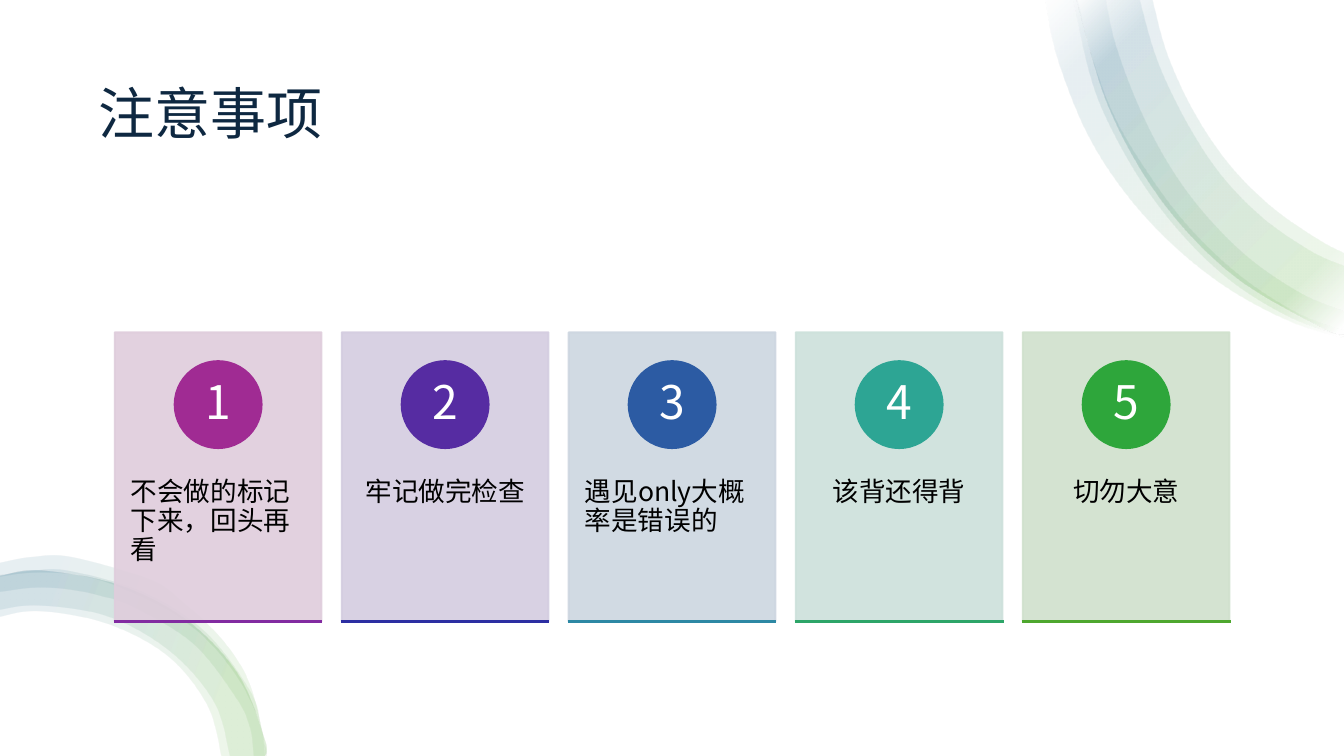
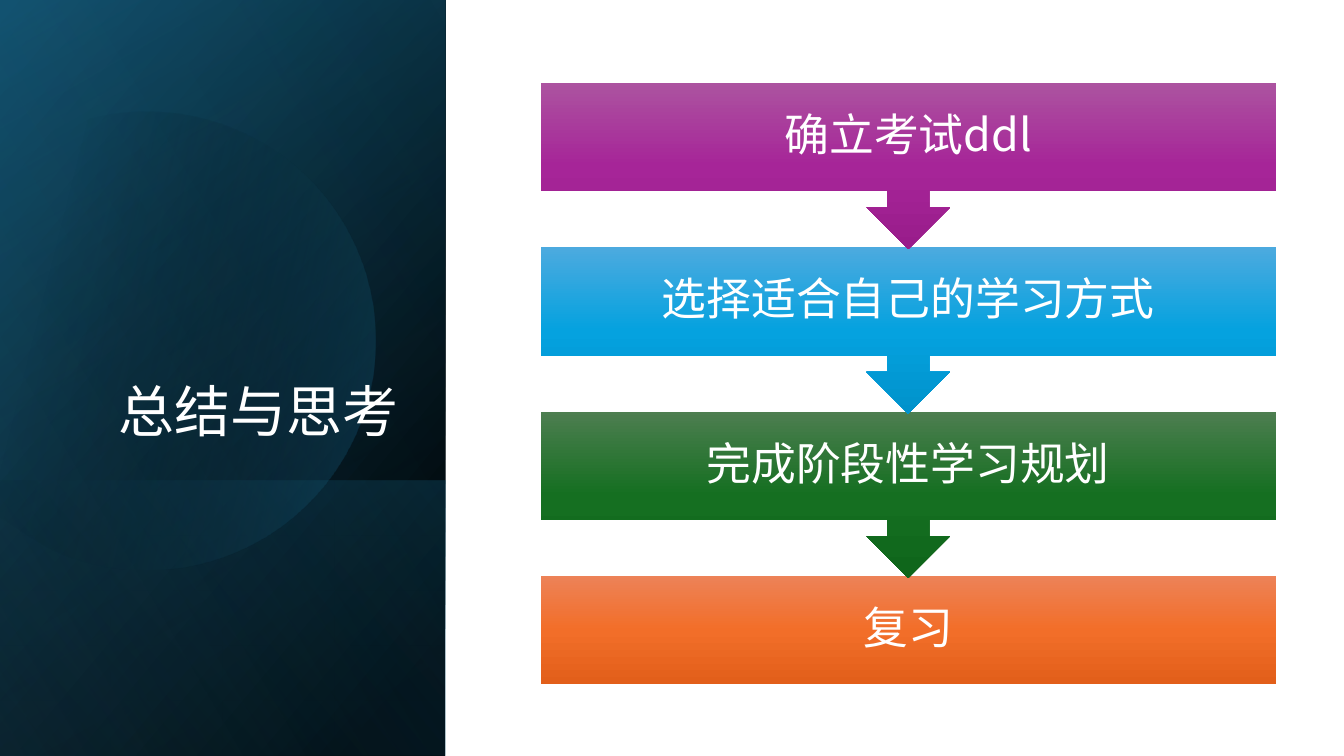
from dataclasses import dataclass
from math import acos, cos, sin

from lxml import etree
from pptx import Presentation
from pptx.dml.color import RGBColor
from pptx.enum.shapes import MSO_CONNECTOR, MSO_SHAPE
from pptx.enum.text import MSO_ANCHOR, MSO_AUTO_SIZE, PP_ALIGN
from pptx.oxml.ns import qn
from pptx.shapes.base import BaseShape
from pptx.slide import Slide
from pptx.util import Pt

RECT, OVAL = MSO_SHAPE.RECTANGLE, MSO_SHAPE.OVAL
CALLOUT, STRAIGHT = MSO_SHAPE.DOWN_ARROW_CALLOUT, MSO_CONNECTOR.STRAIGHT
LEFT, CENTER, RIGHT = PP_ALIGN.LEFT, PP_ALIGN.CENTER, PP_ALIGN.RIGHT
TOP, MIDDLE, BOTTOM = MSO_ANCHOR.TOP, MSO_ANCHOR.MIDDLE, MSO_ANCHOR.BOTTOM
NO_FIT = MSO_AUTO_SIZE.NONE

WIDTH, HEIGHT, PANEL = 960, 540, 318
FONT = "Noto Sans CJK SC"
COLORS = {
    "white": "FFFFFF", "black": "000000", "navy": "0E2841",
    "green": "4EA72E", "teal": "156082", "deep": "104862", "sky": "46B1E1",
}

Point = tuple[float, float]
Box = tuple[float, float, float, float]


@dataclass(frozen=True)
class Stop:
    pos: int
    color: str
    alpha: int = 100


@dataclass(frozen=True)
class Card:
    text: str
    tint: str
    disc: str
    rule: str
    align: PP_ALIGN = CENTER


@dataclass(frozen=True)
class Step:
    text: str
    light: str
    main: str
    dark: str


@dataclass(frozen=True)
class Band:
    outer: list[Point]
    inner: list[Point]


@dataclass(frozen=True)
class Layer:
    top: float
    angle: int
    stops: list[Stop]


CARDS = [
    Card("不会做的标记下来，回头再看", "DFCDDC", "A02B93", "822BA1", LEFT),
    Card("牢记做完检查", "D4CDE0", "562CA2", "2C2EA2"),
    Card("遇见only大概率是错误的", "CDD6E0", "2C5BA3", "2D88A4", LEFT),
    Card("该背还得背", "CDE1DB", "2DA594", "2DA568"),
    Card("切勿大意", "D0E1CD", "2EA63B", "4EA72E"),
]
STEPS = [
    Step("确立考试ddl", "AC53A0", "A62598", "991C8B"),
    Step("选择适合自己的学习方式", "4CAADF", "05A2DF", "0092CB"),
    Step("完成阶段性学习规划", "4D7E50", "156F21", "0F661B"),
    Step("复习", "ED8257", "F26E29", "E25F1A"),
]

# Each edge is a list of points that a smooth curve runs through.
WIDE = [(960, 239), (942, 233), (881, 197), (830, 144), (792, 77), (769, 0)]
CORNER = [
    Band([(960, 241), (923, 230), (879, 207), (839, 176), (804, 138), (776, 94),
          (755, 40), (747, 0)],
         [(770, 0), (779, 37), (796, 83), (821, 125), (850, 163), (886, 197),
          (926, 223), (960, 236)]),
    Band(WIDE, [(823, 0), (834, 40), (853, 81), (878, 118), (908, 148), (941, 171),
                (960, 181)]),
    Band([(960, 240), (921, 226), (880, 201), (845, 168), (815, 129),
          (791, 86), (778, 51), (767, 0)],
         [(790, 0), (797, 32), (813, 75), (834, 116), (860, 152), (892, 184),
          (929, 209), (960, 222)]),
    Band(WIDE, [(814, 0), (826, 42), (846, 85), (871, 124), (902, 156), (937, 180),
                (960, 190)]),
]
ARCH = [(189, 540), (189, 529), (170, 482), (133, 443), (84, 418), (29, 408), (0, 412)]
FOOT = [
    Band(ARCH, [(0, 441), (29, 437), (77, 446), (120, 469), (148, 504), (158, 540)]),
    Band(ARCH, [(0, 436), (29, 433), (78, 441), (122, 466), (153, 502), (164, 540)]),
    Band([(189, 540), (186, 518), (178, 493), (146, 451), (102, 423), (50, 408),
          (22, 408), (0, 411)],
         [(0, 423), (24, 420), (48, 421), (73, 426), (96, 434), (138, 460),
          (168, 498), (178, 519), (181, 540)]),
    Band([(190, 540), (180, 495), (168, 470), (151, 449), (130, 430),
          (107, 414), (51, 398), (22, 398), (0, 402)],
         [(0, 412), (23, 409), (50, 410), (76, 416), (100, 426), (123, 438),
          (144, 454), (162, 474), (176, 496), (186, 520), (189, 540)]),
]
BODY = [Stop(16, COLORS["green"], 10), Stop(85, COLORS["teal"], 10)]
FADE = [Stop(2, COLORS["white"], 10), *BODY, Stop(100, COLORS["white"], 10)]

BASE = [
    Layer(0, 220, [Stop(8, COLORS["black"]), Stop(100, COLORS["deep"])]),
    Layer(0, 240, [Stop(0, COLORS["black"], 0), Stop(99, COLORS["teal"], 46)]),
    Layer(343, 140, [Stop(2, COLORS["teal"], 29), Stop(100, COLORS["black"], 30)]),
]
GLOW = Layer(0, 150, [Stop(0, COLORS["black"], 0), Stop(99, COLORS["sky"], 11)])
MOON = [Stop(18, COLORS["black"], 0), Stop(100, COLORS["teal"], 43)]


def rgb(color: str) -> RGBColor:
    return RGBColor.from_string(color)


def shade(shape: BaseShape, stops: list[Stop], angle: int) -> None:
    """Fill with a linear gradient; the angle runs clockwise in degrees."""
    shape.fill.solid()
    old = shape.element.spPr.find(qn("a:solidFill"))
    grad = etree.Element(qn("a:gradFill"), rotWithShape="1")
    items = etree.SubElement(grad, qn("a:gsLst"))
    for stop in stops:
        item = etree.SubElement(items, qn("a:gs"), pos=str(stop.pos * 1000))
        color = etree.SubElement(item, qn("a:srgbClr"), val=stop.color)
        if stop.alpha < 100:
            etree.SubElement(color, qn("a:alpha"), val=str(stop.alpha * 1000))
    etree.SubElement(grad, qn("a:lin"), ang=str(angle * 60000), scaled="0")
    old.getparent().replace(old, grad)


def paint(shape: BaseShape, color: str, alpha: int = 100) -> None:
    """Fill and outline in one colour."""
    shape.fill.solid()
    shape.fill.fore_color.rgb = rgb(color)
    shape.line.color.rgb = rgb(color)
    shape.line.width = Pt(1.5)
    if alpha < 100:
        for tone in shape.element.spPr.iter(qn("a:srgbClr")):
            etree.SubElement(tone, qn("a:alpha"), val=str(alpha * 1000))


def add(slide: Slide, kind: MSO_SHAPE, box: Box) -> BaseShape:
    shape = slide.shapes.add_shape(kind, *map(Pt, box))
    shape.shadow.inherit = False
    shape.line.fill.background()
    return shape


def bend(shape: BaseShape, sizes: list[int]) -> None:
    """Turn the straight segments of each edge into smooth curves."""
    spots = [(int(pt.get("x")), int(pt.get("y")))
             for pt in shape.element.iter(qn("a:pt"))]
    lines = list(shape.element.iter(qn("a:lnTo")))
    start = 0
    for size in sizes:
        edge = spots[start:start + size]
        ends = [edge[0], *edge, edge[-1]]
        for k in range(size - 1):
            a, b, c, d = ends[k:k + 4]
            near = [q + (r - p) / 6 for p, q, r in zip(a, b, c)]
            far = [r - (s - q) / 6 for q, r, s in zip(b, c, d)]
            arc = etree.Element(qn("a:cubicBezTo"))
            for x, y in (near, far, c):
                etree.SubElement(arc, qn("a:pt"), x=str(round(x)), y=str(round(y)))
            line = lines[start + k]
            line.getparent().replace(line, arc)
        start += size


def trace(slide: Slide, *edges: list[Point]) -> BaseShape:
    """Draw a closed outline of smooth edges joined by straight lines."""
    spots = [(Pt(x), Pt(y)) for edge in edges for x, y in edge]
    pen = slide.shapes.build_freeform(*spots[0], scale=1.0)
    pen.add_line_segments(spots[1:], close=True)
    shape = pen.convert_to_shape()
    shape.shadow.inherit = False
    shape.line.fill.background()
    bend(shape, [len(edge) for edge in edges])
    return shape


def write(shape: BaseShape, text: str, size: int, color: str, align: PP_ALIGN,
          anchor: MSO_ANCHOR, pad: Box) -> None:
    """Set the text; the padding is left, top, right, bottom."""
    frame = shape.text_frame
    frame.text = text
    frame.word_wrap = True
    frame.auto_size = NO_FIT
    frame.vertical_anchor = anchor
    (frame.margin_left, frame.margin_top,
     frame.margin_right, frame.margin_bottom) = map(Pt, pad)
    para = frame.paragraphs[0]
    para.alignment = align
    para.line_spacing = 0.9
    font = para.runs[0].font
    font.size = Pt(size)
    font.color.rgb = rgb(color)
    font.name = FONT
    etree.SubElement(font._element, qn("a:ea"), typeface=FONT)


def head(slide: Slide, text: str, box: Box, color: str, align: PP_ALIGN,
         anchor: MSO_ANCHOR) -> None:
    """Place the title above all that is drawn so far."""
    title = slide.shapes.title
    title.left, title.top, title.width, title.height = map(Pt, box)
    write(title, text, 40, color, align, anchor, (7.2, 3.6, 7.2, 3.6))
    slide.shapes.element.append(title.element)


def sweep(slide: Slide, bands: list[Band], stops: list[Stop], angle: int) -> None:
    for band in bands:
        shade(trace(slide, band.outer, band.inner), stops, angle)


def deal(slide: Slide, card: Card, index: int) -> None:
    """Draw one numbered card."""
    wide, high, top, disc = 147.6, 206.6, 237.4, 62
    left = 82 + index * 162.15
    panel = add(slide, RECT, (left, top, wide, high))
    paint(panel, card.tint, 90)
    write(panel, card.text, 19, COLORS["black"], card.align, TOP,
          (11.5, 104.6, 11.5, 26))
    badge = add(slide, OVAL, (left + (wide - disc) / 2, top + 20.6, disc, disc))
    paint(badge, card.disc)
    write(badge, str(index + 1), 33, COLORS["white"], CENTER, MIDDLE, (5, 1, 5, 1))
    base = top + high + 0.2
    rule = slide.shapes.add_connector(
        STRAIGHT, Pt(left - 0.75), Pt(base), Pt(left + wide + 0.75), Pt(base))
    rule.line.color.rgb = rgb(card.rule)
    rule.line.width = Pt(2)
    etree.SubElement(rule.element.spPr, qn("a:effectLst"))


def flow(slide: Slide) -> None:
    """Stack the steps, each pointing at the next."""
    high, tall = 77.2, 118.8
    last = len(STEPS) - 1
    for index, step in reversed(list(enumerate(STEPS))):
        end = index == last
        box = (386.3, 59.2 + index * 117.4, 525, high if end else tall)
        shape = add(slide, RECT if end else CALLOUT, box)
        if not end:
            for k, part in enumerate((0.25, 0.25, 0.25, high / tall)):
                shape.adjustments[k] = part
        shade(shape, [Stop(0, step.light), Stop(50, step.main),
                      Stop(100, step.dark)], 90)
        write(shape, step.text, 32, COLORS["white"], CENTER, MIDDLE, (18,) * 4)


def cover(slide: Slide, layer: Layer) -> None:
    box = (0, layer.top, PANEL, HEIGHT - layer.top)
    shade(add(slide, RECT, box), layer.stops, layer.angle)


def moon(slide: Slide) -> None:
    """Draw the disc that the left slide edge cuts off."""
    x, y, size, count = 105, 243, 163.5, 14
    half = acos(-x / size)
    turns = [half * (2 * k / count - 1) for k in range(count + 1)]
    shade(trace(slide, [(x + size * cos(t), y + size * sin(t)) for t in turns]),
          MOON, 14)


def main() -> None:
    deck = Presentation()
    deck.slide_width, deck.slide_height = Pt(WIDTH), Pt(HEIGHT)
    notes, recap = (deck.slides.add_slide(deck.slide_layouts[5]) for _ in range(2))

    paper = add(notes, RECT, (0, 0, WIDTH, HEIGHT))
    shade(paper, [Stop(0, COLORS["white"]), Stop(100, COLORS["white"])], 0)
    head(notes, "注意事项", (63.4, 36, 833, 93.6), COLORS["navy"], LEFT, MIDDLE)
    sweep(notes, CORNER, FADE, 225)
    sweep(notes, FOOT, BODY, 200)
    for index, card in enumerate(CARDS):
        deal(notes, card, index)

    for layer in BASE:
        cover(recap, layer)
    moon(recap)
    cover(recap, GLOW)
    head(recap, "总结与思考", (46, 132.5, 245.5, 188.6), COLORS["white"], RIGHT, BOTTOM)
    flow(recap)
    deck.save("out.pptx")


if __name__ == "__main__":
    main()
